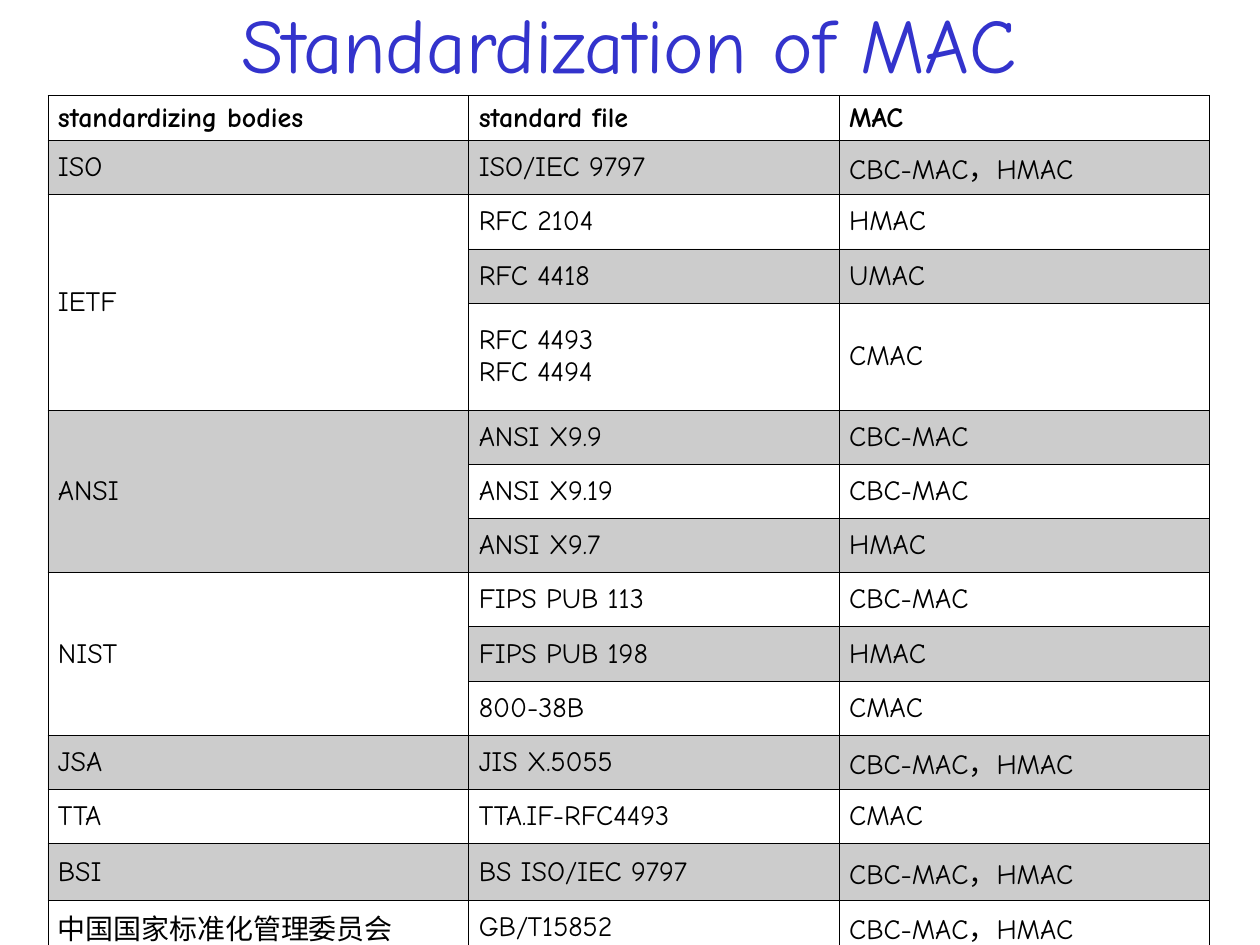
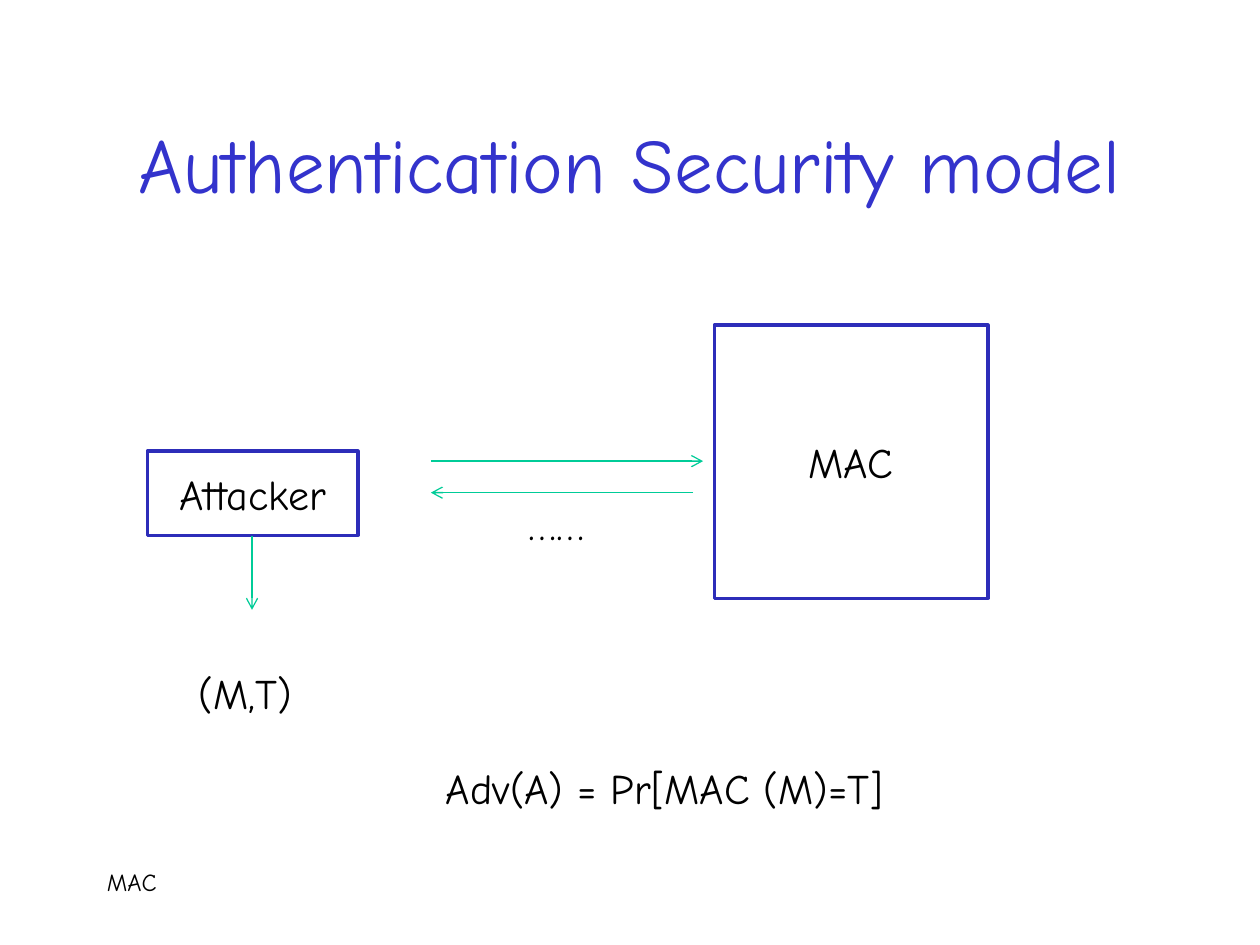
from lxml import etree
from pptx import Presentation
from pptx import util as u
from pptx.dml.color import RGBColor
from pptx.enum import shapes, text
from pptx.oxml.ns import qn

FONT = "Comic Neue"
COLORS = {"title": "3333CC", "text": "000000", "paper": "FFFFFF",
          "box": "2D2DB9", "arrow": "00CC98"}
COL_WIDTHS = [3.34, 2.94, 2.94]
HEADER = ["standardizing bodies", "standard file", "MAC"]
BOTH = "CBC-MAC，HMAC"
STANDARDS = [
    ("ISO", [("ISO/IEC 9797", BOTH)]),
    ("IETF", [("RFC 2104", "HMAC"), ("RFC 4418", "UMAC"),
              ("RFC 4493\nRFC 4494", "CMAC")]),
    ("ANSI", [("ANSI X9.9", "CBC-MAC"), ("ANSI X9.19", "CBC-MAC"),
              ("ANSI X9.7", "HMAC")]),
    ("NIST", [("FIPS PUB 113", "CBC-MAC"), ("FIPS PUB 198", "HMAC"),
              ("800-38B", "CMAC")]),
    ("JSA", [("JIS X.5055", BOTH)]),
    ("TTA", [("TTA.IF-RFC4493", "CMAC")]),
    ("BSI", [("BS ISO/IEC 9797", BOTH)]),
    ("中国国家标准化管理委员会", [("GB/T15852", BOTH)]),
]
ROW_HEIGHT = 0.43
SPECIAL_HEIGHTS = {0: 0.27, 4: 0.85, 13: 0.45}


def rgb(name):
    return RGBColor.from_string(COLORS[name])


def inches(*values):
    return [u.Inches(v) for v in values]


def write(tf, content, size, color="text", align=None, bold=False):
    tf.text = content
    for p in tf.paragraphs:
        p.alignment = align
        for r in p.runs:
            r.font.name = FONT
            r.font.size = u.Pt(size)
            r.font.bold = bold
            r.font.color.rgb = rgb(color)


def add_titled_slide(prs, title, *box):
    s = prs.slides.add_slide(prs.slide_layouts[5])
    sp = s.shapes.title
    sp.left, sp.top, sp.width, sp.height = inches(*box)
    tf = sp.text_frame
    tf.auto_size = text.MSO_AUTO_SIZE.NONE
    tf.vertical_anchor = text.MSO_ANCHOR.MIDDLE
    write(tf, title, 44, "title", text.PP_ALIGN.CENTER)
    return s


def add_label(s, content, *box, size=24, wrap=False):
    tf = s.shapes.add_textbox(*inches(*box)).text_frame
    tf.word_wrap = wrap
    if not wrap:
        tf.auto_size = text.MSO_AUTO_SIZE.SHAPE_TO_FIT_TEXT
    write(tf, content, size)


def add_box(s, content, *box):
    sp = s.shapes.add_shape(shapes.MSO_SHAPE.RECTANGLE, *inches(*box))
    sp.shadow.inherit = False
    sp.fill.solid()
    sp.fill.fore_color.rgb = rgb("paper")
    sp.line.color.rgb = rgb("box")
    sp.line.width = u.Pt(2)
    sp.text_frame.vertical_anchor = text.MSO_ANCHOR.MIDDLE
    write(sp.text_frame, content, 24, align=text.PP_ALIGN.CENTER)


def add_arrow(s, *ends):
    c = s.shapes.add_connector(shapes.MSO_CONNECTOR.STRAIGHT, *inches(*ends))
    c.line.color.rgb = rgb("arrow")
    c.line.width = u.Pt(0.75)
    etree.SubElement(c.line._get_or_add_ln(), qn("a:tailEnd"), type="arrow")
    etree.SubElement(c._element.spPr, qn("a:effectLst"))


def set_borders(cell, **widths):
    tc_pr = cell._tc.get_or_add_tcPr()
    for side in "LRTB":
        width = u.Pt(widths.get(side, 0.45))
        ln = etree.SubElement(tc_pr, qn(f"a:ln{side}"), w=str(int(width)))
        fill = etree.SubElement(ln, qn("a:solidFill"))
        etree.SubElement(fill, qn("a:srgbClr"), val=COLORS["text"])


def shade(cell):
    cell.fill.solid()
    cell.fill.fore_color.rgb = rgb("text")
    clr = cell._tc.tcPr.find(f"{qn('a:solidFill')}/{qn('a:srgbClr')}")
    etree.SubElement(clr, qn("a:alpha"), val="20000")


def format_cell(cell, content, row):
    cell.margin_left = cell.margin_right = u.Inches(0.08)
    cell.margin_top = cell.margin_bottom = u.Inches(0.05)
    cell.vertical_anchor = text.MSO_ANCHOR.MIDDLE
    write(cell.text_frame, content, 16, align=text.PP_ALIGN.JUSTIFY,
          bold=row == 0)
    set_borders(cell, **{0: {"B": 0.96}, 1: {"T": 0.96}}.get(row, {}))
    if row % 2:
        shade(cell)
    else:
        cell.fill.background()


def add_standards_table(s, left, top):
    rows = [HEADER]
    merges = []
    for body, files in STANDARDS:
        if len(files) > 1:
            merges.append((len(rows), len(rows) + len(files) - 1))
        rows += [("" if i else body, *entry) for i, entry in enumerate(files)]
    heights = [SPECIAL_HEIGHTS.get(i, ROW_HEIGHT) for i in range(len(rows))]
    table = s.shapes.add_table(
        len(rows), len(HEADER),
        *inches(left, top, sum(COL_WIDTHS), sum(heights))).table
    table.first_row = table.horz_banding = False
    for column, width in zip(table.columns, COL_WIDTHS):
        column.width = u.Inches(width)
    for i, (row, height) in enumerate(zip(rows, heights)):
        table.rows[i].height = u.Inches(height)
        for j, content in enumerate(row):
            format_cell(table.cell(i, j), content, i)
    for first, last in merges:
        table.cell(first, 0).merge(table.cell(last, 0))


def add_security_model(s):
    add_label(s, "MAC", 0.75, 6.83, 8.58, 0.5, size=14, wrap=True)
    add_box(s, "MAC", 5.67, 2.58, 2.17, 2.17)
    add_box(s, "Attacker", 1.17, 3.58, 1.67, 0.67)
    add_arrow(s, 3.42, 3.66, 5.58, 3.66)
    add_arrow(s, 5.5, 3.91, 3.42, 3.91)
    add_label(s, "……", 4.1, 3.91, 0.64, 0.5)
    add_label(s, "Adv(A) = Pr[MAC (M)=T]", 3.44, 6, 3.67, 0.5)
    add_arrow(s, 2, 4.25, 2, 4.84)
    add_label(s, "(M,T)", 1.48, 5.25, 0.94, 0.5)


def main():
    prs = Presentation()
    prs.slide_width, prs.slide_height = inches(10, 7.5)
    s = add_titled_slide(prs, "Standardization of MAC", 0.4, -0.03, 9.19, 0.74)
    add_standards_table(s, 0.38, 0.76)
    s = add_titled_slide(prs, "Authentication Security model",
                         0.75, 0.67, 8.5, 1.25)
    add_security_model(s)
    prs.save("out.pptx")


if __name__ == "__main__":
    main()
